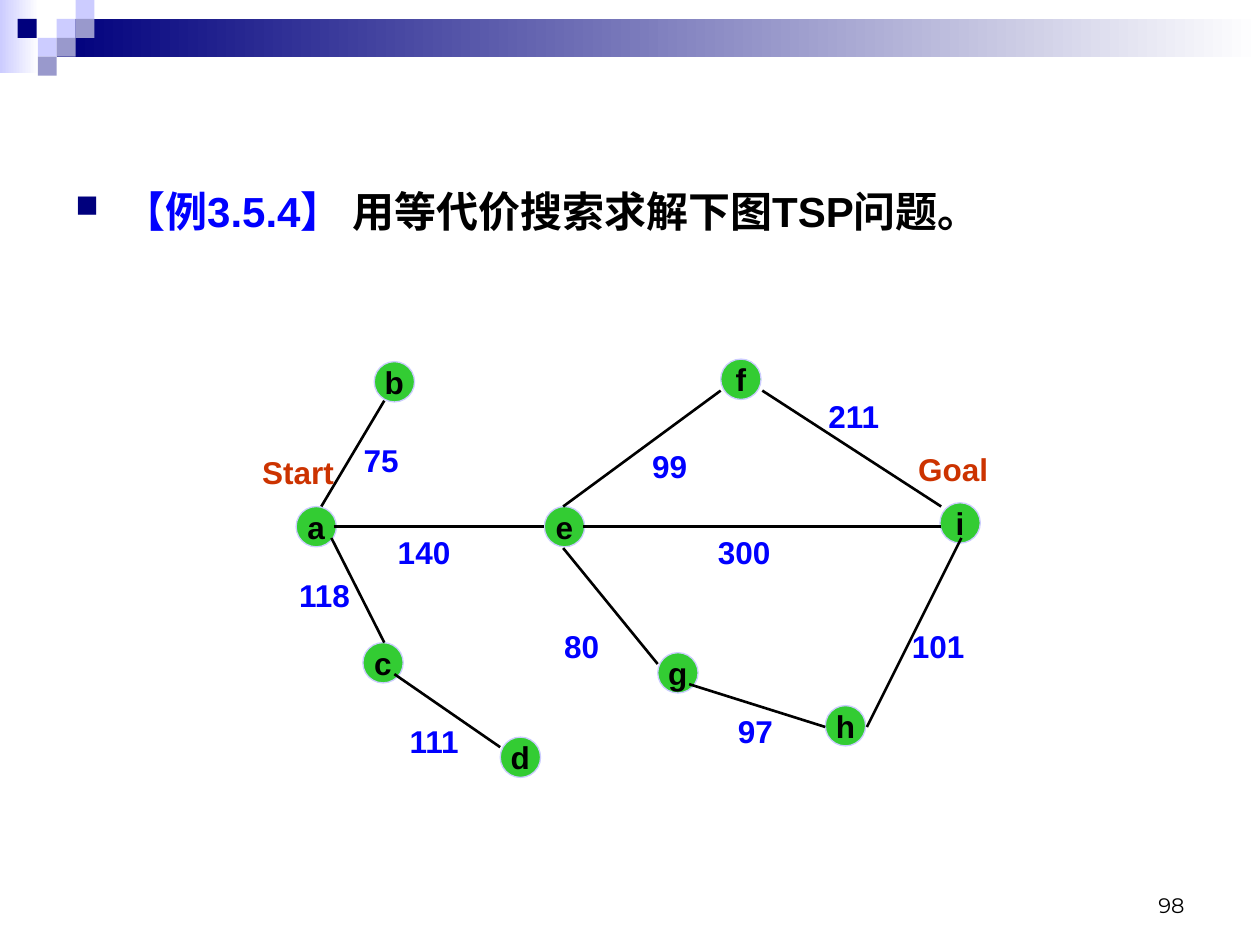
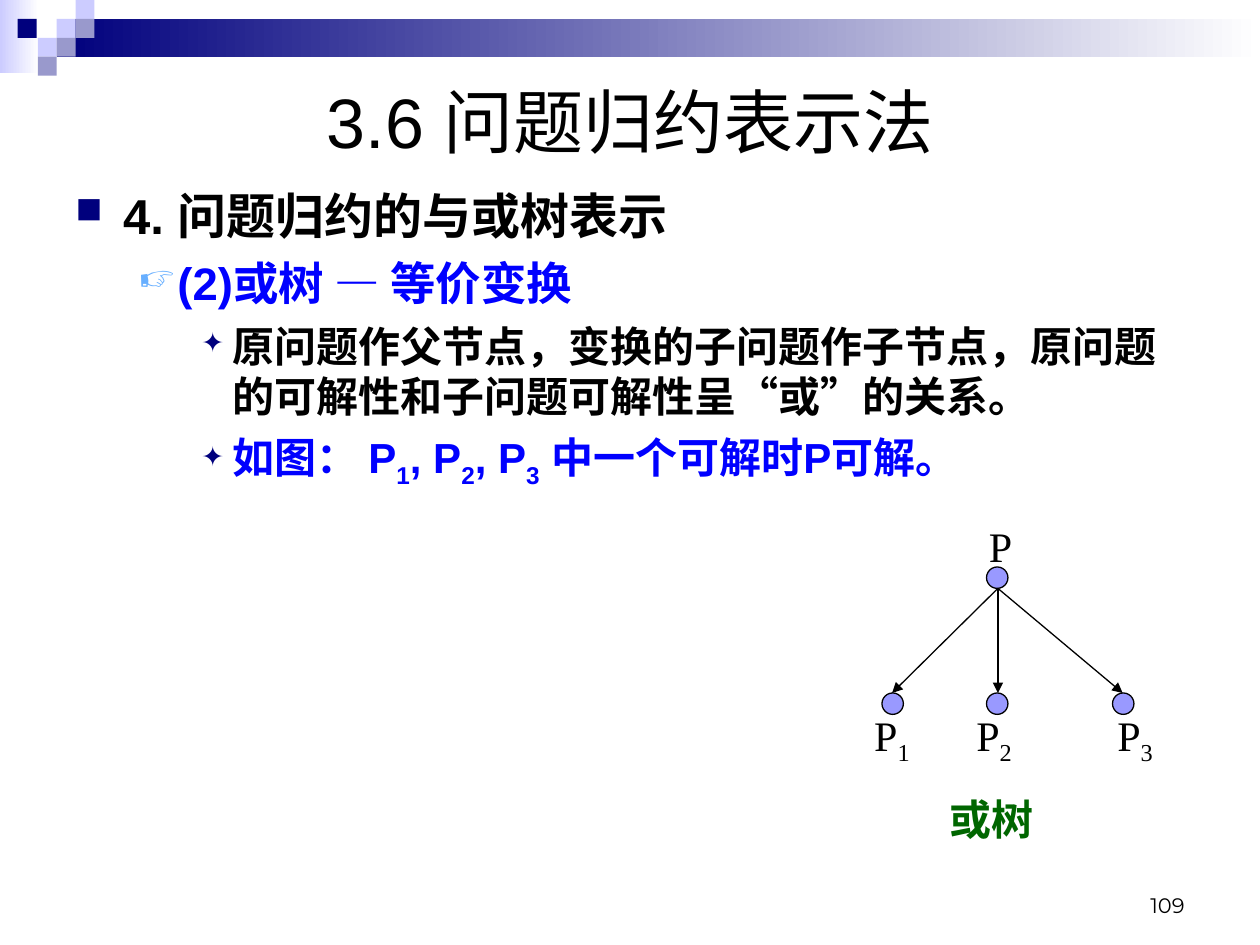
from typing import Any, NamedTuple, Optional

from lxml.etree import SubElement
from pptx import Presentation
from pptx.dml.color import RGBColor
from pptx.enum.shapes import MSO_CONNECTOR as Connector, MSO_SHAPE as Preset
from pptx.enum.text import MSO_ANCHOR as Anchor, PP_ALIGN as Align
from pptx.oxml.ns import qn
from pptx.util import Emu, Pt

PX = 9144  # EMU in one px, 100 px to the inch

# Shared colours
BLACK, WHITE, BLUE, NAVY = "000000", "FFFFFF", "0000FF", "00007D"
LILAC, SLATE, SKY = "CCCCFF", "9999CC", "67AFFF"
NODE_GREEN, TREE_GREEN, RUST, VIOLET = "33CC33", "006600", "CC3300", "9999FF"

# Shared text formats
TITLE = {"size": Pt(40), "name": "Arial", "bold": False}
BODY = {"name": "Arial", "bold": True}
GRAPH = {"size": Pt(18), "name": "Arial", "bold": True}
TREE = {"size": Pt(24), "name": "Times New Roman"}
PAGE = {"size": Pt(12), "name": "Montserrat"}


class Box(NamedTuple):
    left: int
    top: int
    width: int
    height: int


class Tile(NamedTuple):
    box: Box
    colour: str
    fade: Optional[str] = None


class Run(NamedTuple):
    text: str
    colour: str = BLACK
    subscript: bool = False


class Bullet(NamedTuple):
    character: str
    colour: str
    percent: int
    indent: int
    hanging: int


class Item(NamedTuple):
    bullet: Bullet
    level: int
    size: int
    before: float
    runs: list[Run]


class Node(NamedTuple):
    name: str
    left: int
    top: int


class Edge(NamedTuple):
    begin: tuple[int, int]
    end: tuple[int, int]
    weight: str
    label: tuple[int, int]


SQUARE = Bullet("■", NAVY, 75, 38, 38)
HAND = Bullet("☞", SKY, 80, 81, 31)
STAR = Bullet("✦", NAVY, 65, 125, 25)

TILES = [
    Tile(Box(0, 0, 31, 58), LILAC, WHITE),
    Tile(Box(45, 15, 955, 30), NAVY, WHITE),
    *(Tile(Box(left, top, 15, 15), colour) for left, top, colour in [
        (45, 15, LILAC), (60, 0, LILAC), (60, 15, SLATE), (30, 30, LILAC),
        (14, 15, NAVY), (45, 30, SLATE), (30, 45, SLATE)]),
]

NODES = [
    Node("a", 235, 402), Node("b", 297, 287), Node("c", 288, 510),
    Node("d", 397, 585), Node("e", 432, 402), Node("f", 572, 285),
    Node("g", 522, 518), Node("h", 655, 560), Node("i", 746, 399),
]
EDGES = [
    Edge((263, 427), (305, 510), "118", (218, 452)),
    Edge((313, 535), (397, 593), "111", (305, 568)),
    Edge((255, 402), (305, 318), "75", (263, 345)),
    Edge((265, 418), (432, 418), "140", (297, 418)),
    Edge((463, 418), (747, 418), "300", (551, 418)),
    Edge((447, 402), (572, 310), "99", (492, 350)),
    Edge((447, 435), (522, 527), "80", (422, 493)),
    Edge((547, 543), (655, 577), "97", (560, 560)),
    Edge((688, 577), (763, 427), "101", (705, 493)),
    Edge((605, 310), (747, 402), "211", (638, 310)),
]


def rgb(colour: str) -> RGBColor:
    return RGBColor.from_string(colour)


def emu(lengths: tuple[int, ...]) -> list[Emu]:
    return [Emu(length * PX) for length in lengths]


def apply_format(target: Any, values: dict[str, Any]) -> None:
    for name, value in values.items():
        setattr(target, name, value)


def add_runs(paragraph: Any, runs: list[Run], font: dict[str, Any]) -> None:
    for item in runs:
        run = paragraph.add_run()
        run.text = item.text
        apply_format(run.font, font)
        run.font.color.rgb = rgb(item.colour)
        if item.subscript:
            run.font._element.set("baseline", "-25000")


def add_text(slide: Any, box: Box, runs: list[Run], font: dict[str, Any],
             align: Any = Align.LEFT, anchor: Any = Anchor.TOP) -> None:
    frame = slide.shapes.add_textbox(*emu(box)).text_frame
    apply_format(frame, {"word_wrap": True, "vertical_anchor": anchor})
    paragraph = frame.paragraphs[0]
    paragraph.alignment = align
    add_runs(paragraph, runs, font)


def add_shape(slide: Any, preset: Any, box: Box, colour: str,
              line: Optional[str] = None, fade: Optional[str] = None) -> Any:
    shape = slide.shapes.add_shape(preset, *emu(box))
    shape.shadow.inherit = False
    if fade:
        shape.fill.gradient()
        shape.fill.gradient_angle = 0
        for stop, stop_colour in zip(shape.fill.gradient_stops, (colour, fade)):
            stop.color.rgb = rgb(stop_colour)
    else:
        shape.fill.solid()
        shape.fill.fore_color.rgb = rgb(colour)
    if line:
        shape.line.color.rgb = rgb(line)
        shape.line.width = Pt(0.75)
    else:
        shape.line.fill.background()
    return shape


def add_line(slide: Any, begin: tuple[int, int], end: tuple[int, int],
             width: float, arrow: bool = False) -> None:
    connector = slide.shapes.add_connector(Connector.STRAIGHT, *emu(begin + end))
    connector.line.color.rgb = rgb(BLACK)
    connector.line.width = Pt(width)
    if arrow:
        SubElement(connector.line._get_or_add_ln(), qn("a:tailEnd"), type="triangle")
    SubElement(connector._element.spPr, qn("a:effectLst"))


def add_bullet(paragraph: Any, bullet: Bullet) -> None:
    properties = paragraph._p.get_or_add_pPr()
    properties.set("marL", str(bullet.indent * PX))
    properties.set("indent", str(-bullet.hanging * PX))
    colour = SubElement(properties, qn("a:buClr"))
    SubElement(colour, qn("a:srgbClr"), val=bullet.colour)
    SubElement(properties, qn("a:buSzPct"), val=str(bullet.percent * 1000))
    SubElement(properties, qn("a:buChar"), char=bullet.character)


def add_body(slide: Any, box: Box, items: list[Item]) -> None:
    frame = slide.shapes.add_textbox(*emu(box)).text_frame
    frame.word_wrap = True
    for index, item in enumerate(items):
        paragraph = frame.add_paragraph() if index else frame.paragraphs[0]
        add_bullet(paragraph, item.bullet)
        paragraph.level = item.level
        if index:
            paragraph.space_before = Pt(item.before)
        add_runs(paragraph, item.runs, BODY | {"size": Pt(item.size)})


def add_title(slide: Any, text: str) -> None:
    title = slide.shapes.title
    names = ("left", "top", "width", "height")
    apply_format(title, dict(zip(names, emu(Box(50, 50, 900, 92)))))
    title.text_frame.vertical_anchor = Anchor.MIDDLE
    paragraph = title.text_frame.paragraphs[0]
    paragraph.alignment = Align.CENTER
    add_runs(paragraph, [Run(text)], TITLE)


def add_slide(presentation: Any, layout: int, number: int) -> Any:
    """Add a slide with the shared band, corner tiles and page number."""
    slide = presentation.slides.add_slide(presentation.slide_layouts[layout])
    for tile in TILES:
        add_shape(slide, Preset.RECTANGLE, tile.box, tile.colour, fade=tile.fade)
    add_text(slide, Box(717, 683, 233, 50), [Run(str(number))], PAGE,
             Align.RIGHT, Anchor.BOTTOM)
    return slide


def build_search_graph(presentation: Any) -> None:
    slide = add_slide(presentation, 6, 98)
    add_body(slide, Box(50, 142, 750, 533), [
        Item(SQUARE, 0, 24, 6, [Run("【例3.5.4】 ", BLUE),
                                Run("用等代价搜索求解下图TSP问题。")])])

    # Nodes
    for node in NODES:
        shape = add_shape(slide, Preset.OVAL, Box(node.left, node.top, 32, 32),
                          NODE_GREEN, LILAC)
        frame = shape.text_frame
        apply_format(frame, {"word_wrap": False, "vertical_anchor": Anchor.MIDDLE})
        frame.paragraphs[0].alignment = Align.CENTER
        add_runs(frame.paragraphs[0], [Run(node.name)], GRAPH)

    # Weighted edges
    for edge in EDGES:
        add_line(slide, edge.begin, edge.end, 1.5)
        add_text(slide, Box(*edge.label, 79, 40), [Run(edge.weight, BLUE)],
                 GRAPH, Align.CENTER)

    # Start and goal
    for text, left, top in [("Start", 193, 355), ("Goal", 713, 352)]:
        add_text(slide, Box(left, top, 87, 40), [Run(text, RUST)], GRAPH, Align.CENTER)


def build_or_tree(presentation: Any) -> None:
    slide = add_slide(presentation, 5, 109)
    add_title(slide, "3.6 问题归约表示法")
    children = []
    for index in (1, 2, 3):
        children += [Run(", P" if index > 1 else "如图： P", BLUE),
                     Run(str(index), BLUE, True)]
    add_body(slide, Box(50, 142, 900, 533), [
        Item(SQUARE, 0, 28, 7, [Run("4. 问题归约的与或树表示")]),
        Item(HAND, 1, 26, 6.5, [Run("(2)或树 — 等价变换", BLUE)]),
        Item(STAR, 2, 24, 6, [Run("原问题作父节点，变换的子问题作子节点，原问题的"
                                  "可解性和子问题可解性呈“或”的关系。")]),
        Item(STAR, 2, 24, 6, children + [Run(" 中一个可解时P可解。", BLUE)]),
    ])

    # Root, then each child with its arrow and label
    dot = 17
    add_shape(slide, Preset.OVAL, Box(783, 450, dot, dot), VIOLET, BLACK)
    add_text(slide, Box(775, 408, 42, 50), [Run("P")], TREE)
    for index, (left, label_left) in enumerate([(700, 684), (783, 765), (883, 877)], 1):
        add_line(slide, (792, 467), (left + 8 + (left == 783), 550), 0.75, arrow=True)
        add_shape(slide, Preset.OVAL, Box(left, 550, dot, dot), VIOLET, BLACK)
        add_text(slide, Box(label_left, 558, 60, 50),
                 [Run("P"), Run(str(index), subscript=True)], TREE)
    add_text(slide, Box(744, 625, 110, 50), [Run("或树", TREE_GREEN)],
             TREE | {"bold": True})


def main() -> None:
    presentation = Presentation()
    presentation.slide_width, presentation.slide_height = emu((1000, 750))
    build_search_graph(presentation)
    build_or_tree(presentation)
    presentation.save("out.pptx")


if __name__ == "__main__":
    main()
